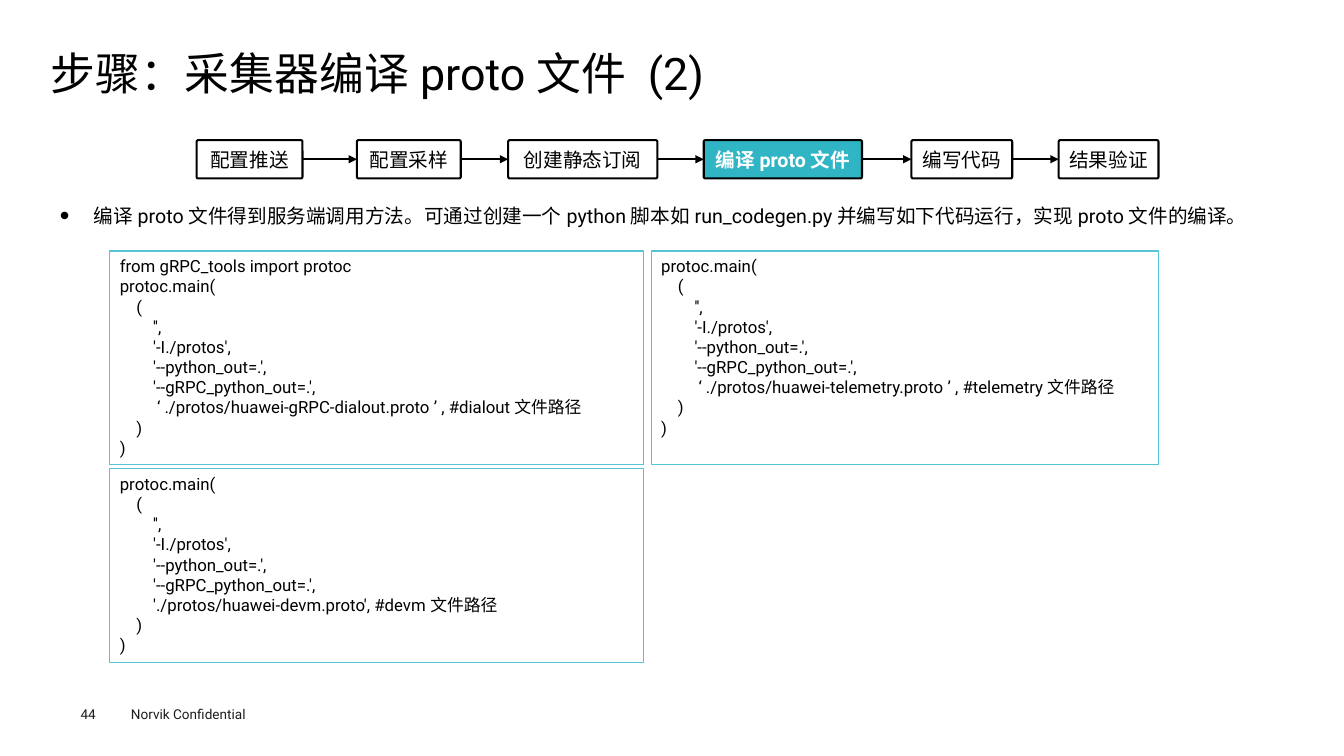
from dataclasses import dataclass

from lxml import etree
from pptx import Presentation
from pptx.dml.color import RGBColor
from pptx.enum.lang import MSO_LANGUAGE_ID
from pptx.enum.shapes import MSO_CONNECTOR, MSO_SHAPE
from pptx.enum.text import MSO_ANCHOR, PP_ALIGN
from pptx.oxml.ns import qn
from pptx.util import Inches, Pt

RECTANGLE, ROUNDED = MSO_SHAPE.RECTANGLE, MSO_SHAPE.ROUNDED_RECTANGLE
STRAIGHT = MSO_CONNECTOR.STRAIGHT
TOP, MIDDLE = MSO_ANCHOR.TOP, MSO_ANCHOR.MIDDLE
LEFT, CENTER, JUSTIFY = PP_ALIGN.LEFT, PP_ALIGN.CENTER, PP_ALIGN.JUSTIFY
CHINESE = MSO_LANGUAGE_ID.SIMPLIFIED_CHINESE
SIDE_LEFT, SIDE_RIGHT = 1, 3


@dataclass(frozen=True)
class Theme:
    font: str = "Roboto"
    ink: RGBColor = RGBColor(0x00, 0x00, 0x00)
    paper: RGBColor = RGBColor(0xFF, 0xFF, 0xFF)
    footer: RGBColor = RGBColor(0x1D, 0x1D, 0x1B)
    active: RGBColor = RGBColor(0x30, 0xB5, 0xC5)
    code_border: RGBColor = RGBColor(0x56, 0xC4, 0xD2)
    title_size: float = 32
    body_size: float = 14
    code_size: float = 12
    footer_size: float = 9.7


THEME = Theme()

# Step label, left and width
STEPS = [
    ("配置推送", 1.95, 1.05),
    ("配置采样", 3.54, 1.03),
    ("创建静态订阅", 5.04, 1.48),
    ("编译proto文件", 6.98, 1.57),
    ("编写代码", 9.04, 1.0),
    ("结果验证", 10.5, 0.99),
]
ACTIVE_STEP = 3

CODE_HEAD = [
    "protoc.main(",
    "    (",
    "        '',",
    "        '-I./protos',",
    "        '--python_out=.',",
    "        '--gRPC_python_out=.',",
]
CODE_TAIL = ["    )", ")"]
IMPORT_LINE = "from gRPC_tools import protoc"
DIALOUT_LINE = "        ‘./protos/huawei-gRPC-dialout.proto’, #dialout文件路径"
TELEMETRY_LINE = "        ‘./protos/huawei-telemetry.proto’, #telemetry文件路径"
DEVM_LINE = "        './protos/huawei-devm.proto', #devm文件路径"


def add_span(para, text, size, color, bold=False):
    span = para.add_run()
    span.text = text
    font = span.font
    font.name, font.size, font.bold = THEME.font, Pt(size), bold
    font.color.rgb = color
    font.language_id = CHINESE
    latin = span._r.rPr.find(qn("a:latin"))
    east_asian = etree.Element(qn("a:ea"), typeface=THEME.font)
    latin.addnext(east_asian)


def write_lines(shape, lines, size, color, align=LEFT, anchor=TOP, bold=False):
    frame = shape.text_frame
    frame.word_wrap = True
    frame.vertical_anchor = anchor
    for index, line in enumerate(lines):
        para = frame.add_paragraph() if index else frame.paragraphs[0]
        para.alignment = align
        add_span(para, line, size, color, bold)
    return frame


def add_text(page, box, text, size, color, align=LEFT, anchor=TOP, inset=None):
    shape = page.shapes.add_textbox(*map(Inches, box))
    frame = write_lines(shape, [text], size, color, align, anchor)
    if inset is not None:
        frame.margin_left = frame.margin_right = Inches(inset)
        frame.margin_top = frame.margin_bottom = Inches(inset)
    return frame.paragraphs[0]


def add_panel(page, kind, box, border, width, fill=None):
    shape = page.shapes.add_shape(kind, *map(Inches, box))
    shape.shadow.inherit = False
    if fill is None:
        shape.fill.background()
    else:
        shape.fill.solid()
        shape.fill.fore_color.rgb = fill
    shape.line.color.rgb = border
    shape.line.width = Pt(width)
    return shape


def add_title(page, box):
    para = add_text(page, box, "步骤：采集器编译proto文件 (2)", THEME.title_size,
                    THEME.ink, anchor=MIDDLE, inset=0)
    para.line_spacing = 0.9


def add_intro(page, box):
    para = add_text(
        page, box,
        "编译proto文件得到服务端调用方法。可通过创建一个python脚本如run_codegen.py"
        "并编写如下代码运行，实现proto文件的编译。",
        THEME.body_size, THEME.ink, JUSTIFY)
    para.line_spacing = 1.4
    # Hanging bullet at half the text size
    props = para._p.get_or_add_pPr()
    props.set("marL", str(Inches(0.33)))
    props.set("indent", str(Inches(-0.33)))
    etree.SubElement(props, qn("a:buSzPct"), val="50000")
    etree.SubElement(props, qn("a:buFont"), typeface=THEME.font)
    etree.SubElement(props, qn("a:buChar"), char="●")


def add_arrow(page, start, end):
    arrow = page.shapes.add_connector(STRAIGHT, 0, 0, 0, 0)
    arrow.begin_connect(start, SIDE_RIGHT)
    arrow.end_connect(end, SIDE_LEFT)
    arrow.line.color.rgb = THEME.ink
    arrow.line.width = Pt(1.5)
    etree.SubElement(arrow.line._get_or_add_ln(), qn("a:tailEnd"), type="triangle")
    etree.SubElement(arrow._element.spPr, qn("a:effectLst"))


def add_step_flow(page, top, height):
    boxes = []
    for index, (label, left, width) in enumerate(STEPS):
        active = index == ACTIVE_STEP
        box = add_panel(page, ROUNDED, (left, top, width, height), THEME.ink, 1.5,
                        THEME.active if active else THEME.paper)
        box.adjustments[0] = 0.043
        frame = write_lines(box, [label], THEME.body_size,
                            THEME.paper if active else THEME.ink,
                            CENTER, MIDDLE, active)
        frame.margin_left = frame.margin_right = Inches(0.05)
        boxes.append(box)
    for start, end in zip(boxes, boxes[1:]):
        add_arrow(page, start, end)


def add_code(page, box, lines):
    panel = add_panel(page, RECTANGLE, box, THEME.code_border, 0.75)
    write_lines(panel, lines, THEME.code_size, THEME.ink)


def add_code_panels(page, left, top):
    wide, narrow, tall, short = 5.29, 5.03, 2.12, 1.92
    right, lower = left + wide + 0.08, top + tall + 0.04
    panels = [
        ((left, top, wide, tall), [IMPORT_LINE], DIALOUT_LINE),
        ((left, lower, wide, short), [], DEVM_LINE),
        ((right, top, narrow, tall), [], TELEMETRY_LINE),
    ]
    for box, imports, proto_line in panels:
        add_code(page, box, imports + CODE_HEAD + [proto_line] + CODE_TAIL)


def add_footer(page, left, top):
    add_text(page, (left, top + 0.05, 0.4, 0.16), "44",
             THEME.footer_size, THEME.footer, inset=0)
    add_text(page, (left + 0.4, top, 1.6, 0.27), "Norvik Confidential",
             THEME.footer_size, THEME.footer)


def main():
    deck = Presentation()
    deck.slide_width, deck.slide_height = Inches(13.33), Inches(7.5)
    page = deck.slides.add_slide(deck.slide_layouts[6])
    add_footer(page, 0.8, 6.95)
    add_title(page, (0.5, 0.49, 12.35, 0.53))
    add_intro(page, (0.5, 1.88, 12.35, 0.5))
    add_code_panels(page, 1.09, 2.49)
    add_step_flow(page, 1.39, 0.38)
    deck.save("out.pptx")


if __name__ == "__main__":
    main()
